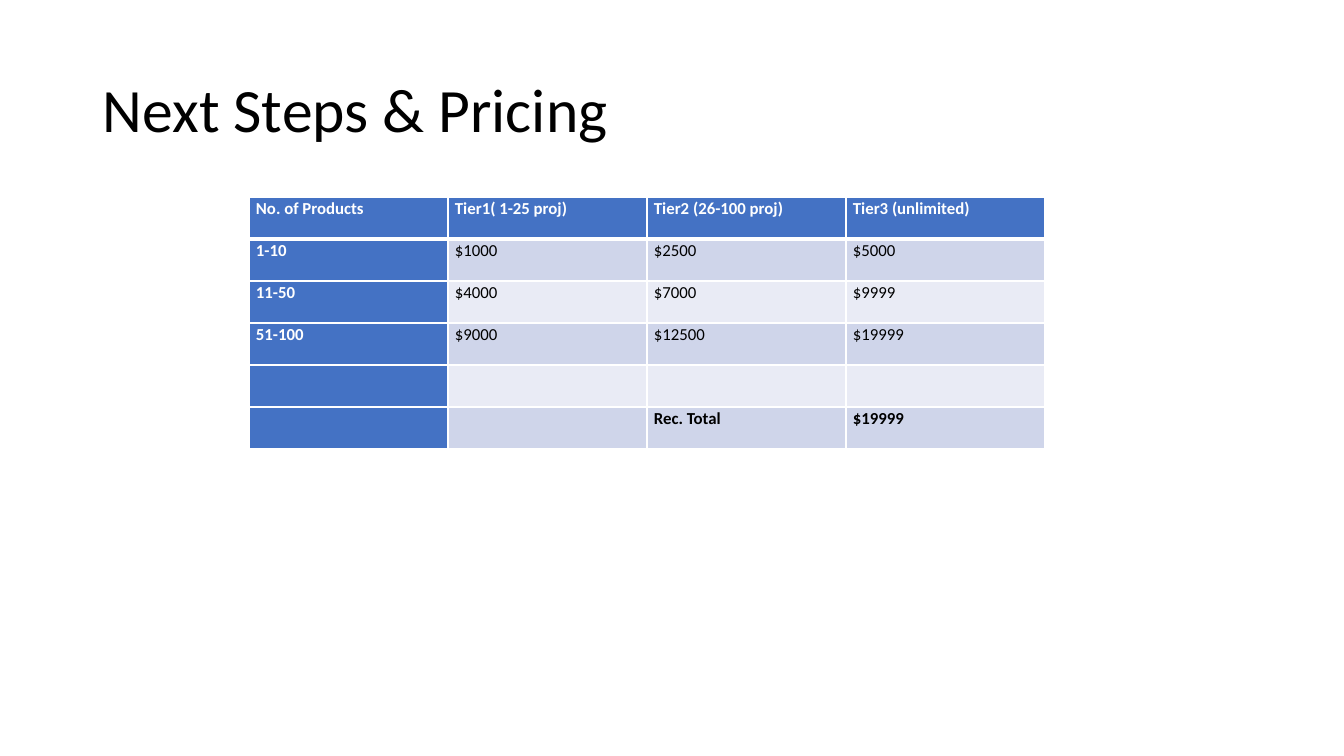
from dataclasses import dataclass

from lxml.etree import SubElement
from pptx import Presentation
from pptx.dml.color import RGBColor
from pptx.enum.text import MSO_ANCHOR
from pptx.oxml.ns import qn
from pptx.util import Emu, Pt

SCALE = 914400 / 100.8  # EMU in one pixel


@dataclass(frozen=True)
class Theme:
    font: str = "Calibri"
    title_size: int = 44
    table_size: int = 12
    black: str = "000000"
    white: str = "FFFFFF"
    accent: str = "4472C4"
    bands: tuple = ("CFD5EA", "E9EBF5")


def px(value):
    return Emu(round(value * SCALE))


def write(frame, text, *, font, size, color, bold=False, spacing=1.0):
    para = frame.paragraphs[0]
    para.line_spacing = spacing
    span = para.add_run()
    span.text = text
    span.font.name = font
    span.font.size = Pt(size)
    span.font.bold = bold
    span.font.color.rgb = RGBColor.from_string(color)


class Builder:
    def __init__(self, page, theme):
        self.page = page
        self.theme = theme

    def title(self, text, left, top, width, height):
        box = self.page.shapes.add_textbox(px(left), px(top), px(width), px(height))
        frame = box.text_frame
        frame.word_wrap = True
        frame.vertical_anchor = MSO_ANCHOR.MIDDLE
        write(frame, text, font=self.theme.font, size=self.theme.title_size,
              color=self.theme.black, spacing=0.9)

    def border(self, cell, side, points):
        line = SubElement(cell._tc.get_or_add_tcPr(), qn(f"a:ln{side}"), w=str(Pt(points)))
        fill = SubElement(line, qn("a:solidFill"))
        SubElement(fill, qn("a:srgbClr"), val=self.theme.white)

    def cell(self, cell, text, fill, color, bold, top, bottom):
        cell.margin_left = cell.margin_right = px(7)
        cell.margin_top = cell.margin_bottom = 0
        # Borders come before the fill in the cell properties
        for side, points in (("L", 1), ("R", 1), ("T", top), ("B", bottom)):
            self.border(cell, side, points)
        cell.fill.solid()
        cell.fill.fore_color.rgb = RGBColor.from_string(fill)
        if text:
            write(cell.text_frame, text, font=self.theme.font,
                  size=self.theme.table_size, color=color, bold=bold, spacing=1.07)

    def table(self, rows, left, top, column_width, row_height):
        theme = self.theme
        count = len(rows[0])
        table = self.page.shapes.add_table(
            len(rows), count, px(left), px(top),
            px(column_width * count), px(row_height * len(rows))).table
        for column in table.columns:
            column.width = px(column_width)
        for r, values in enumerate(rows):
            table.rows[r].height = px(row_height)
            for c, text in enumerate(values):
                heading = r == 0 or c == 0
                total = r == len(rows) - 1
                self.cell(
                    table.cell(r, c), text,
                    fill=theme.accent if heading else theme.bands[(r - 1) % 2],
                    color=theme.white if heading else theme.black,
                    bold=heading or total,
                    top=3 if r == 1 else 1,
                    bottom=3 if r == 0 else 1)


PRICING = [
    ("No. of Products", "Tier1( 1-25 proj)", "Tier2 (26-100 proj)", "Tier3 (unlimited)"),
    ("1-10", "$1000", "$2500", "$5000"),
    ("11-50", "$4000", "$7000", "$9999"),
    ("51-100", "$9000", "$12500", "$19999"),
    ("", "", "", ""),
    ("", "", "Rec. Total", "$19999"),
]

# Deck and blank page
deck = Presentation()
deck.slide_width, deck.slide_height = px(1344), px(756)
builder = Builder(deck.slides.add_slide(deck.slide_layouts[6]), Theme())

# Title and pricing table
builder.title("Next Steps & Pricing", 93, 40, 1159, 146)
builder.table(PRICING, left=249, top=197, column_width=199, row_height=42)

deck.save("out.pptx")
